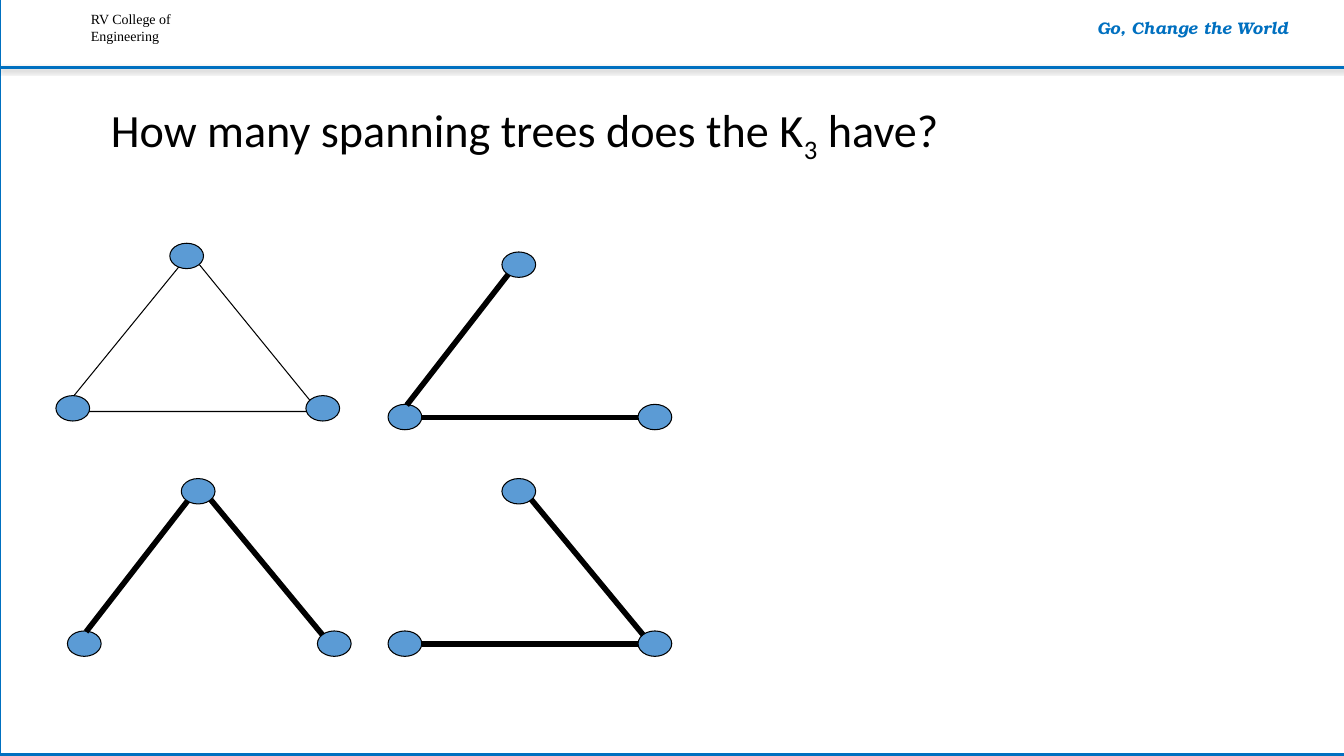
import pptx
import pptx.dml.color
import pptx.enum.shapes
import pptx.enum.text
import pptx.oxml
import pptx.oxml.ns
import pptx.util
from dataclasses import dataclass

Cm, Pt = pptx.util.Cm, pptx.util.Pt
RGB = pptx.dml.color.RGBColor
SHAPE = pptx.enum.shapes.MSO_SHAPE
ALIGN = pptx.enum.text.PP_ALIGN


@dataclass(frozen=True)
class Theme:
    paper: RGB = RGB(0xFF, 0xFF, 0xFF)
    ink: RGB = RGB(0, 0, 0)
    accent: RGB = RGB(0x00, 0x70, 0xC0)
    node: RGB = RGB(0x5B, 0x9B, 0xD5)
    title_font: str = "Calibri"
    college_font: str = "Times New Roman"
    motto_font: str = "TeX Gyre Bonum"
    title_size: float = 33
    motto_size: float = 12
    college_size: float = 10
    frame_width: float = 2
    edge_width: float = 4
    outline_width: float = 0.75


THEME = Theme()
NODE_W, NODE_H = 0.85, 0.64
NODES = {"left": (0, 3.84), "right": (6.3, 3.84), "top": (2.87, 0)}
EDGES = {
    "base": ((6.3, 4.17), (0.85, 4.17)),
    "left": ((3.03, 0.56), (0.47, 3.86)),
    "right": ((3.61, 0.53), (6.43, 3.94)),
}
HEADER_SHADOW = (
    '<a:effectLst %s><a:outerShdw blurRad="39370" dist="20320" dir="5400000" '
    'rotWithShape="0"><a:srgbClr val="000000"><a:alpha val="38000"/></a:srgbClr>'
    "</a:outerShdw></a:effectLst>" % pptx.oxml.ns.nsdecls("a")
)
NO_EFFECT = "<a:effectLst %s/>" % pptx.oxml.ns.nsdecls("a")


def add_run(p, text, font, size, color=THEME.ink, bold=False, italic=False,
            baseline=0):
    """Append a formatted run; baseline is a percentage, negative for subscript."""
    r = p.add_run()
    r.text = text
    r.font.name, r.font.size = font, Pt(size)
    r.font.bold, r.font.italic = bold, italic
    r.font.color.rgb = color
    if baseline:
        r.font._element.set("baseline", str(baseline * 1000))


def add_text(s, box, lines, align=ALIGN.LEFT, **fmt):
    tf = s.shapes.add_textbox(*map(Cm, box)).text_frame
    tf.word_wrap = True
    for i, line in enumerate(lines):
        p = tf.add_paragraph() if i else tf.paragraphs[0]
        p.alignment = align
        add_run(p, line, **fmt)


def add_outline(s, kind, box, fill=None, line=THEME.ink,
                width=THEME.outline_width):
    sp = s.shapes.add_shape(kind, *map(Cm, box))
    sp.shadow.inherit = False
    if fill is None:
        sp.fill.background()
    else:
        sp.fill.solid()
        sp.fill.fore_color.rgb = fill
    sp.line.color.rgb = line
    sp.line.width = Pt(width)


def add_line(s, start, end, color, width, effect=NO_EFFECT):
    cx = s.shapes.add_connector(pptx.enum.shapes.MSO_CONNECTOR.STRAIGHT,
                                *map(Cm, (*start, *end)))
    cx.line.color.rgb = color
    cx.line.width = Pt(width)
    cx._element.spPr.append(pptx.oxml.parse_xml(effect))


def add_header(s, x, y, w, h):
    """Frame the page and add the college name, motto and rule at its top."""
    add_outline(s, SHAPE.RECTANGLE, (x, y, w, h), THEME.paper, THEME.accent,
                THEME.frame_width)
    add_text(s, (x + 2.04, y + 0.18, 3.73, 1.12),
             ["RV College of", "Engineering"],
             font=THEME.college_font, size=THEME.college_size)
    add_line(s, (x, y + 1.73), (x + w + 0.1, y + 1.73), THEME.accent,
             THEME.frame_width, HEADER_SHADOW)
    add_text(s, (x + 26.25, y + 0.35, 7.62, 0.76), ["Go, Change the World"],
             ALIGN.CENTER, font=THEME.motto_font, size=THEME.motto_size,
             color=THEME.accent, bold=True, italic=True)


def add_title(s, x, y, w, h):
    """Fill the title placeholder and bring it in front of the page frame."""
    sp = s.shapes.title
    s.shapes._spTree.append(sp._element)
    sp.left, sp.top, sp.width, sp.height = map(Cm, (x, y, w, h))
    tf = sp.text_frame
    tf.auto_size = pptx.enum.text.MSO_AUTO_SIZE.NONE
    tf.vertical_anchor = pptx.enum.text.MSO_ANCHOR.MIDDLE
    p = tf.paragraphs[0]
    p.alignment = ALIGN.LEFT
    p.line_spacing = 0.9
    for text, baseline in (("How many spanning trees does the K", 0),
                           ("3", -25), (" have?", 0)):
        add_run(p, text, THEME.title_font, THEME.title_size, baseline=baseline)


def add_nodes(s, x, y):
    for dx, dy in NODES.values():
        add_outline(s, SHAPE.OVAL, (x + dx, y + dy, NODE_W, NODE_H), THEME.node)


def add_complete_graph(s, x, y):
    add_outline(s, SHAPE.ISOSCELES_TRIANGLE, (x + 0.13, y + 0.25, 6.5, 3.99))
    add_nodes(s, x, y)


def add_spanning_tree(s, x, y, edges):
    add_nodes(s, x, y)
    for name in edges:
        start, end = ((x + dx, y + dy) for dx, dy in EDGES[name])
        add_line(s, start, end, THEME.ink, THEME.edge_width)


def main():
    prs = pptx.Presentation()
    prs.slide_width, prs.slide_height = Cm(33.87), Cm(19.05)
    s = prs.slides.add_slide(prs.slide_layouts[5])
    add_header(s, 0, -0.03, 33.99, 19.05)
    add_title(s, 2.54, 1.7, 28.78, 3.18)
    add_complete_graph(s, 1.41, 6.13)
    add_spanning_tree(s, 9.78, 6.35, ("base", "left"))
    add_spanning_tree(s, 1.7, 12.06, ("left", "right"))
    add_spanning_tree(s, 9.78, 12.06, ("base", "right"))
    prs.save("out.pptx")


if __name__ == "__main__":
    main()
